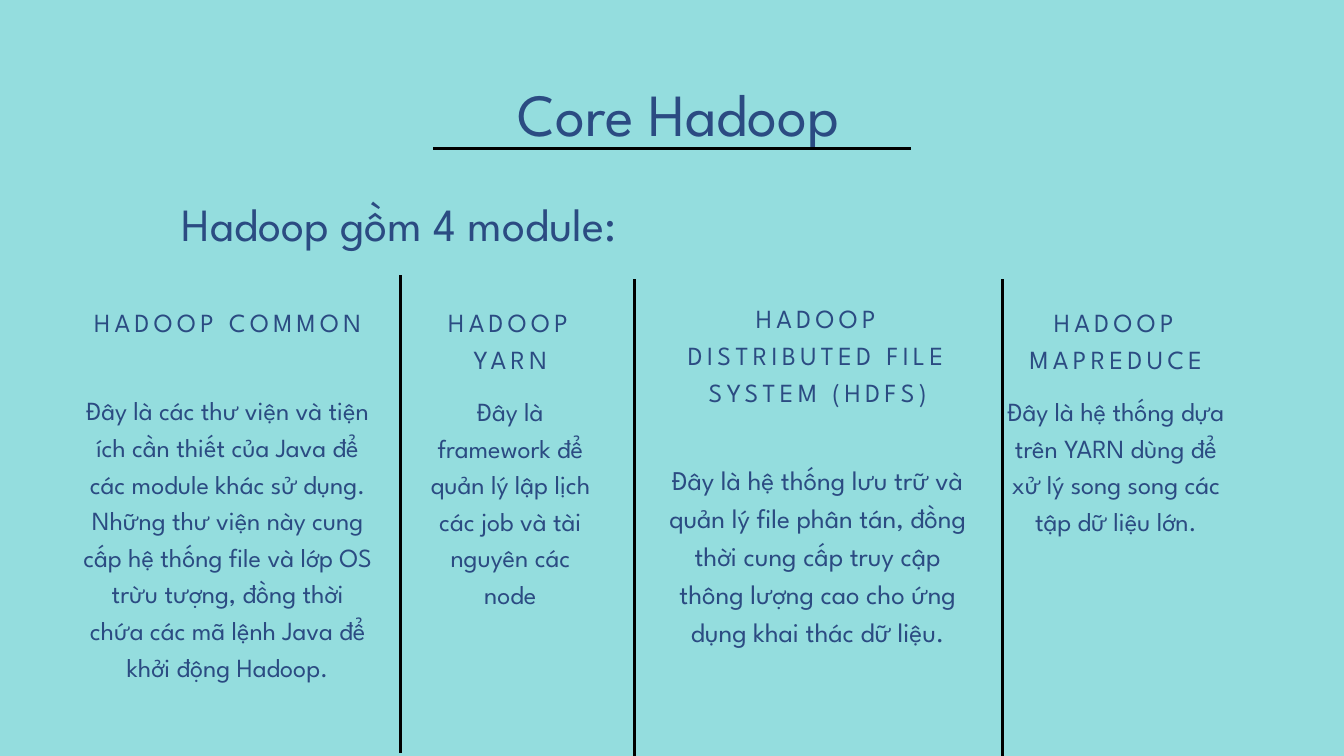
from dataclasses import dataclass

from lxml import etree
from pptx import Presentation
from pptx.dml.color import RGBColor
from pptx.enum import shapes, text
from pptx.oxml.ns import qn
from pptx.util import Cm, Pt


@dataclass(frozen=True)
class Theme:
    back: RGBColor = RGBColor.from_string("94DDDE")
    ink: RGBColor = RGBColor.from_string("2B4B82")
    rule: RGBColor = RGBColor.from_string("000000")
    font: str = "League Spartan"
    title: float = 64
    lead: float = 49.4
    body: float = 28
    large: float = 29
    track: float = 4.8
    width: float = 3


theme = Theme()


def write(box, words, size, line, track=0):
    """Add centred text in a box (cm); line is the line height, track the letter spacing (pt)."""
    frame = slide.shapes.add_textbox(*[Cm(n) for n in box]).text_frame
    frame.word_wrap = True
    frame.margin_left = frame.margin_right = 0
    frame.margin_top = frame.margin_bottom = 0
    para = frame.paragraphs[0]
    para.alignment = text.PP_ALIGN.CENTER
    para.line_spacing = Pt(line)
    run = para.add_run()
    run.text = words
    run.font.name = theme.font
    run.font.size = Pt(size)
    run.font.color.rgb = theme.ink
    if track:
        run.font._element.set("spc", str(round(track * 100)))


def rule(*ends):
    line = slide.shapes.add_connector(
        shapes.MSO_CONNECTOR.STRAIGHT, *[Cm(n) for n in ends])
    line.line.color.rgb = theme.rule
    line.line.width = Pt(theme.width)
    etree.SubElement(line._element.spPr, qn("a:effectLst"))


deck = Presentation()
deck.slide_width, deck.slide_height = Cm(50.8), Cm(28.58)
slide = deck.slides.add_slide(deck.slide_layouts[6])
slide.background.fill.solid()
slide.background.fill.fore_color.rgb = theme.back

write((3.23, 2.92, 44.83, 2.74), "Core Hadoop", theme.title, 76.8)
write((5.03, 7.04, 20.12, 2.36), "Hadoop gồm 4 module:", theme.lead, 69.1)

# left, width, (head top, height), (body top, height), body size, head, body
modules = [
    (3.12, 10.97, (11.4, 2.64), (14.73, 13.72), theme.body, "HADOOP COMMON",
     "Đây là các thư viện và tiện ích cần thiết của Java để các module khác "
     "sử dụng. Những thư viện này cung cấp hệ thống file và lớp OS trừu tượng, "
     "đồng thời chứa các mã lệnh Java để khởi động Hadoop."),
    (15.95, 6.68, (11.4, 2.64), (14.75, 8.2), theme.body, "HADOOP YARN",
     "Đây là framework để quản lý lập lịch các job và tài nguyên các node"),
    (25.15, 11.53, (11.25, 5.36), (17.32, 8.51), theme.large,
     "HADOOP DISTRIBUTED FILE SYSTEM (HDFS)",
     "Đây là hệ thống lưu trữ và quản lý file phân tán, đồng thời cung cấp "
     "truy cập thông lượng cao cho ứng dụng khai thác dữ liệu."),
    (37.95, 8.46, (11.4, 2.64), (14.75, 6.83), theme.body, "HADOOP MAPREDUCE",
     "Đây là hệ thống dựa trên YARN dùng để xử lý song song các tập dữ liệu lớn."),
]
for left, wide, (top, high), (low, deep), size, head, body in modules:
    write((left, top, wide, high), head, theme.body, theme.body * 1.4, theme.track)
    write((left, low, wide, deep), body, size, size * 1.4)

rule(16.38, 5.61, 34.42, 5.61)
for x, foot in [(15.14, 28.45), (23.98, 28.58), (37.9, 28.58)]:
    rule(x, foot, x, foot - 18.04)

deck.save("out.pptx")
